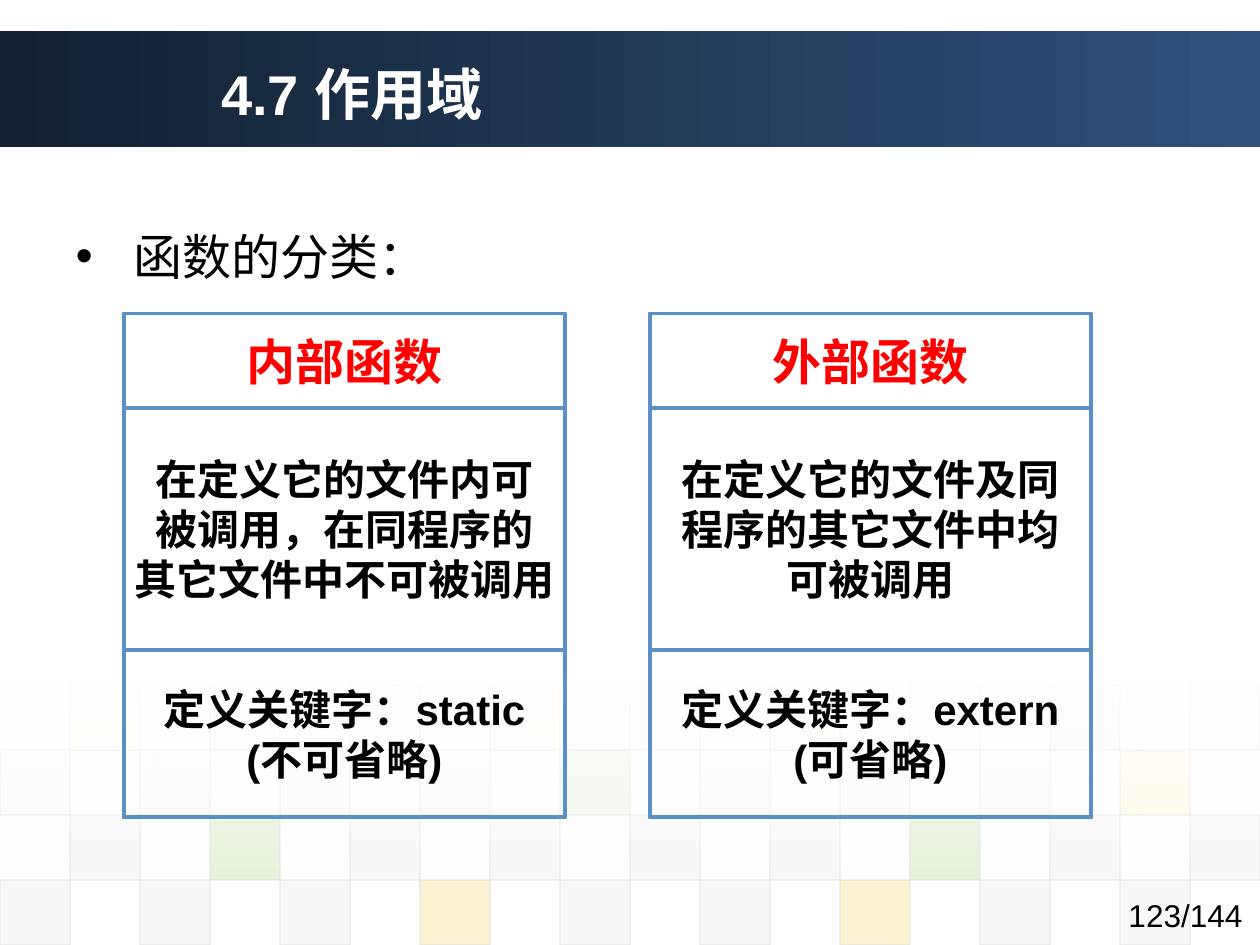
from dataclasses import dataclass

from lxml.etree import SubElement as Sub
from pptx import Presentation
from pptx.dml.color import RGBColor as Rgb
from pptx.enum.shapes import MSO_SHAPE as Kind
from pptx.enum.text import MSO_ANCHOR as Anchor, MSO_AUTO_SIZE as Fit, PP_ALIGN as Align
from pptx.oxml.ns import qn
from pptx.util import Cm, Pt

WIDE, HIGH = 25.4, 19.05
BLUE, RED, BLACK, WHITE = "5A90C2", "FF0000", "000000", "FFFFFF"
HUES = {"G": "8AC246", "Y": "EFC821", "D": "DDDDDD", "E": "EAEAEA"}


@dataclass
class Box:
    left: float
    top: float
    wide: float
    high: float

    def place(self) -> tuple:
        return Cm(self.left), Cm(self.top), Cm(self.wide), Cm(self.high)


@dataclass
class Cell:
    lines: tuple
    high: float
    size: int = 24
    hue: str = BLACK


@dataclass
class Row:
    start: int  # first column in use; every second column has a tile
    marks: str
    alpha: int


def tint(color, code: str) -> None:
    color.rgb = Rgb.from_string(code)


def fade(color_el, alpha: int) -> None:
    Sub(color_el, qn("a:alpha"), val=str(alpha * 1000))


def rect(shapes, box: Box):
    shape = shapes.add_shape(Kind.RECTANGLE, *box.place())
    shape.shadow.inherit = False
    return shape


def blend(shape, stops: list, angle: int) -> None:
    """Fill with a linear gradient of (hex, alpha) stops."""
    shape.line.fill.background()
    shape.fill.gradient()
    grad = shape.element.spPr.find(qn("a:gradFill"))
    for child in list(grad):
        grad.remove(child)
    group = Sub(grad, qn("a:gsLst"))
    for (code, alpha), pos in zip(stops, (0, 100000)):
        stop = Sub(group, qn("a:gs"), pos=str(pos))
        fade(Sub(stop, qn("a:srgbClr"), val=code), alpha)
    Sub(grad, qn("a:lin"), ang=str(angle * 60000), scaled="0")


def write(para, text: str, size: int, hue: str, bold: bool = False, face: str = "Arial") -> None:
    run = para.add_run()
    run.text = text
    font = run.font
    font.name, font.size, font.bold = face, Pt(size), bold
    tint(font.color, hue)


def tile(shapes, box: Box, code: str, alpha: int) -> None:
    shape = rect(shapes, box)
    shape.fill.solid()
    tint(shape.fill.fore_color, code)
    shape.line.width = Pt(0.75)
    tint(shape.line.color, HUES["D"])
    fill, line = shape.element.spPr.iter(qn("a:srgbClr"))
    fade(fill, alpha)
    fade(line, 60)


def frame(shapes, box: Box):
    shape = rect(shapes, box)
    shape.fill.background()
    tint(shape.line.color, BLUE)
    shape.line.width = Pt(2.25)
    return shape


def panel(shapes, left: float, cells: list) -> None:
    """Stack the cells inside one outer frame."""
    group = shapes.add_group_shape().shapes
    top, wide = 6.32, 8.89
    frame(group, Box(left, top, wide, sum(c.high for c in cells)))
    for cell in cells:
        text = frame(group, Box(left, top, wide, cell.high)).text_frame
        text.vertical_anchor = Anchor.MIDDLE
        text.word_wrap = len(cell.lines) == 1
        for i, line in enumerate(cell.lines):
            para = text.add_paragraph() if i else text.paragraphs[0]
            para.alignment = Align.CENTER
            write(para, line, cell.size, cell.hue, True)
        top += cell.high


def settle(holder, box: Box, anchor):
    """Move a placeholder to the front and return its first paragraph."""
    holder.left, holder.top, holder.width, holder.height = box.place()
    holder.element.getparent().append(holder.element)
    text = holder.text_frame
    text.auto_size, text.vertical_anchor = Fit.NONE, anchor
    para = text.paragraphs[0]
    para.alignment, para.space_before = Align.LEFT, Pt(0)
    return para


def main() -> None:
    deck = Presentation()
    deck.slide_width, deck.slide_height = Cm(WIDE), Cm(HIGH)
    slide = deck.slides.add_slide(deck.slide_layouts[1])
    shapes = slide.shapes

    # Title band
    band = rect(shapes, Box(0, 0.63, WIDE, 2.34))
    blend(band, [("132132", 100), ("2E507A", 100)], 0)

    # Checkered footer, paler towards the top
    rows = [
        Row(1, "YEEYDYEGE", 5),
        Row(0, "DDDDGDDDY", 10),
        Row(1, "DGDDDDGDD", 20),
        Row(0, "DDDYDDYDD", 20),
    ]
    step, rise = WIDE / 18, 1.31
    for r, row in enumerate(rows):
        top = HIGH - (len(rows) - r) * rise
        for c, mark in enumerate(row.marks):
            left = (row.start + 2 * c) * step
            tile(shapes, Box(left, top, step, rise), HUES[mark], row.alpha)
    veil = rect(shapes, Box(0, 13.64, WIDE, 4.11))
    blend(veil, [(WHITE, 90), (WHITE, 0)], 90)

    # Page number, free to run up to the slide's right edge
    page = shapes.add_textbox(*Box(22.5, 17.93, 2.9, 1.1).place()).text_frame
    page.word_wrap, page.margin_right = True, 0
    write(page.paragraphs[0], "123/144", 18, BLACK)

    # Title and list
    head = settle(shapes.title, Box(3.89, 0.71, 20.52, 2.34), Anchor.MIDDLE)
    write(head, " ", 32, "333333", True)
    write(head, "4.7 作用域", 32, WHITE, True)
    item = settle(slide.placeholders[1], Box(1.27, 4.44, 22.86, 1.57), Anchor.TOP)
    props = item._p.get_or_add_pPr()
    props.set("marL", str(Cm(0.95)))
    props.set("indent", str(-Cm(0.95)))
    Sub(Sub(props, qn("a:buClr")), qn("a:srgbClr"), val=BLACK)
    Sub(props, qn("a:buFont"), typeface="Arial")
    Sub(props, qn("a:buChar"), char="•")
    write(item, " 函数的分类：", 28, BLACK, face="Calibri")

    # The two kinds of function
    kinds = [
        ("内部函数", ("在定义它的文件内可", "被调用，在同程序的", "其它文件中不可被调用"),
         ("定义关键字：static", "(不可省略)")),
        ("外部函数", ("在定义它的文件及同程序的其它文件中均可被调用",),
         ("定义关键字：extern", "(可省略)")),
    ]
    for i, (name, scope, key) in enumerate(kinds):
        cells = [Cell((name,), 1.9, 28, RED), Cell(scope, 4.88), Cell(key, 3.38)]
        panel(shapes, 2.5 + i * 10.6, cells)

    deck.save("out.pptx")


if __name__ == "__main__":
    main()
